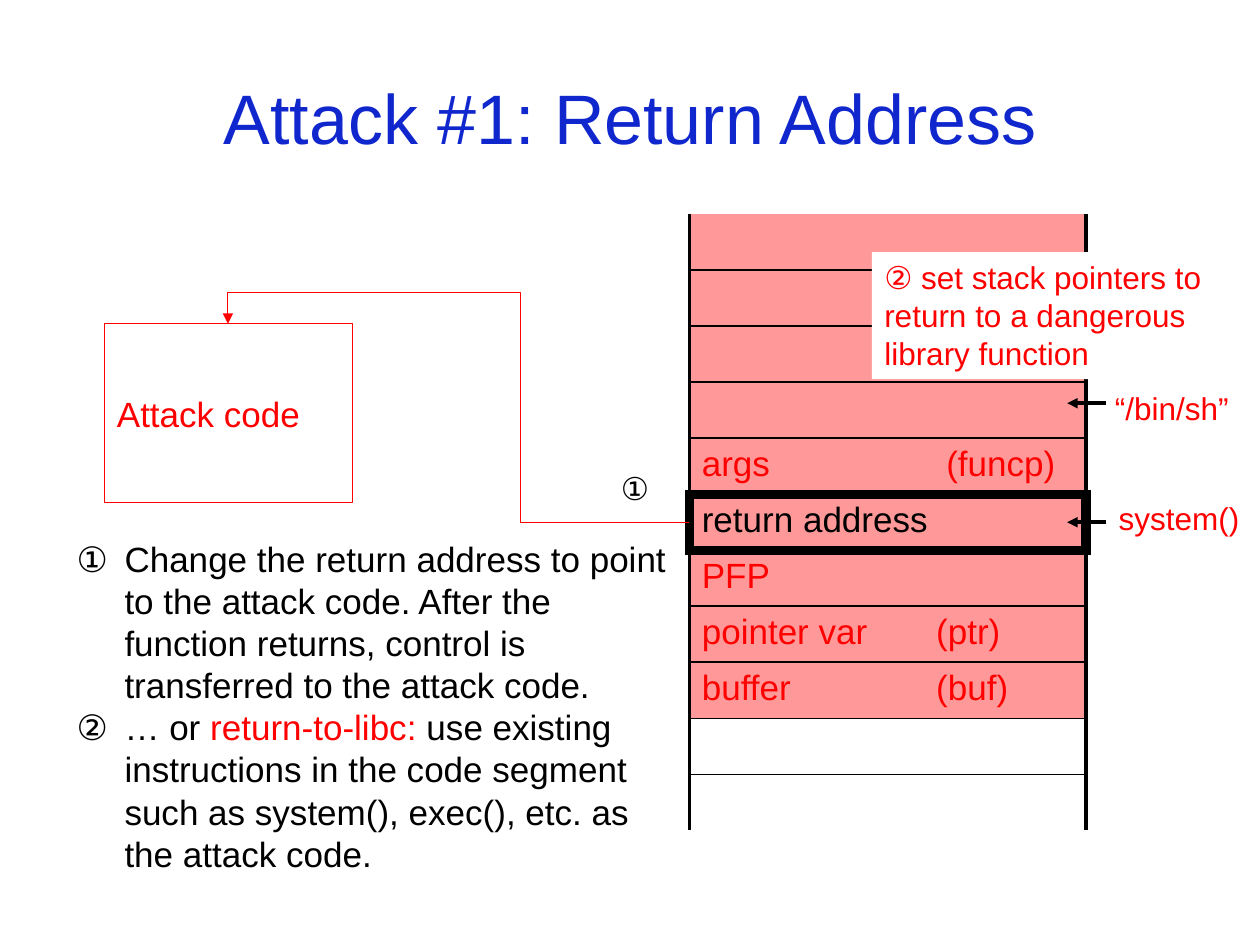
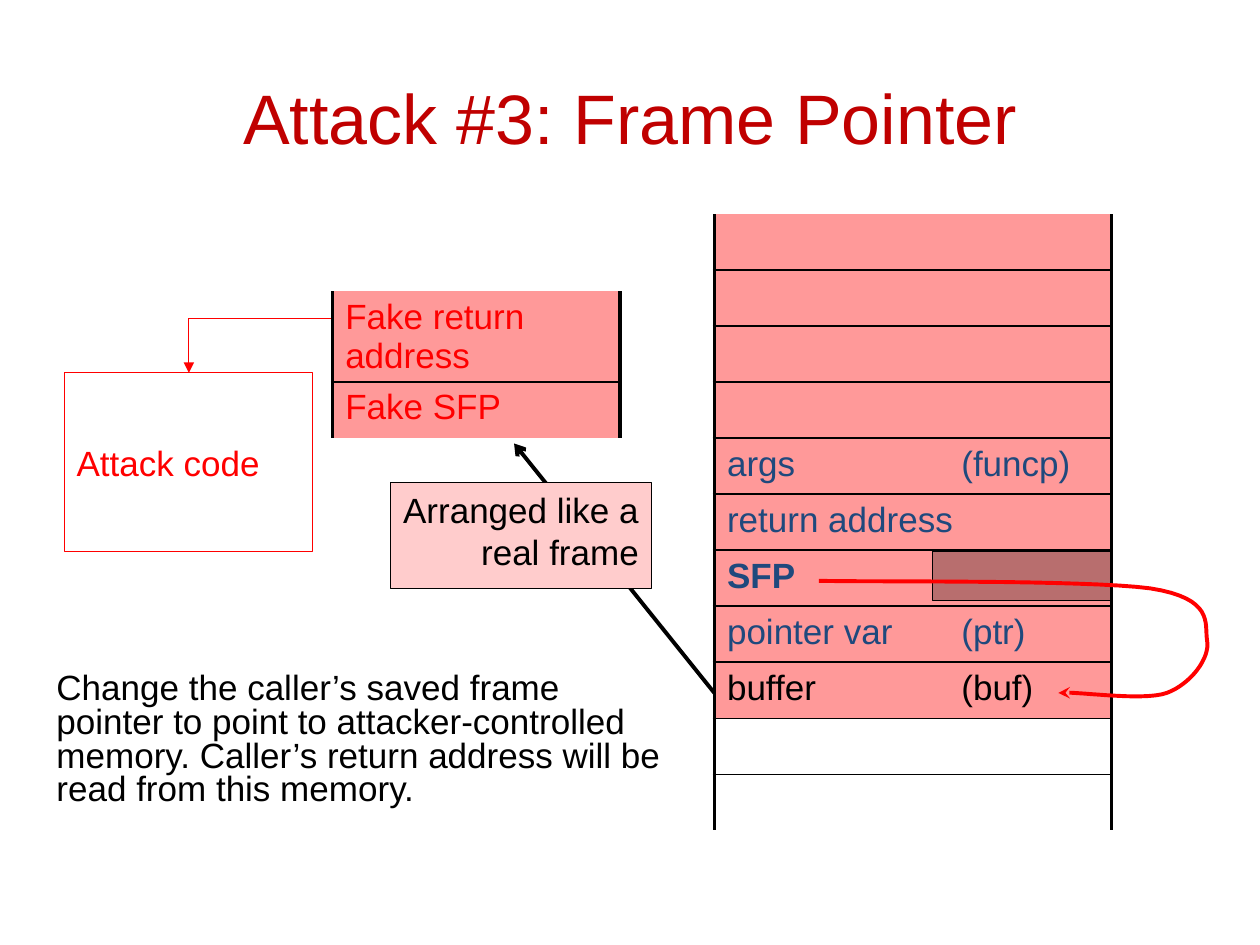
from lxml.etree import SubElement
from pptx import Presentation
from pptx.dml.color import RGBColor
from pptx.enum.shapes import MSO_CONNECTOR, MSO_SHAPE
from pptx.enum.text import MSO_ANCHOR, PP_ALIGN
from pptx.oxml.ns import qn
from pptx.util import Inches, Pt

FONT = "Arial"
BLACK, WHITE, RED = "000000", "FFFFFF", "FF0000"
ROSE, PALE, NAVY = "FF9999", "FFCCCC", "1F497D"
TOP, ROW, WIDE = 1.7, 4.89 / 11, 3.15
THIN, SIDE, THICK = 1, 2.25, 6


def rgb(code):
    return RGBColor.from_string(code)


def grid(*spots):
    """Turn one-inch columns and rows (10 by 7.5 to a slide) into lengths."""
    return [Inches(spot) for spot in spots]


def slot(row):
    """Top of a stack row; a fraction lies further down in that row."""
    return TOP + row * ROW


def style(para, size, color, bold=False):
    font = para.font
    font.name, font.size, font.bold = FONT, Pt(size), bold
    font.color.rgb = rgb(color)


def new_slide(deck, title, color):
    slide = deck.slides.add_slide(deck.slide_layouts[5])
    head = slide.shapes.title
    head.left, head.top, head.width, head.height = grid(0.5, 0.3, 9, 1.25)
    frame = head.text_frame
    frame.text = title
    frame.vertical_anchor = MSO_ANCHOR.MIDDLE
    para = frame.paragraphs[0]
    para.alignment = PP_ALIGN.CENTER
    style(para, 40, color)
    return slide


def write(frame, paras, size, color, align=PP_ALIGN.LEFT, space=None, count=False):
    """Fill a frame; each paragraph is a list of (text, colour or None) runs."""
    frame.word_wrap = True
    for num, runs in enumerate(paras):
        para = frame.add_paragraph() if num else frame.paragraphs[0]
        para.alignment, para.line_spacing = align, space
        if count:
            props = para._p.get_or_add_pPr()
            props.set("marL", str(Inches(0.38)))
            props.set("indent", str(-Inches(0.38)))
            SubElement(props, qn("a:buAutoNum"), type="circleNumDbPlain")
        style(para, size, color)
        for text, tint in runs:
            run = para.add_run()
            run.text = text
            if tint:
                run.font.color.rgb = rgb(tint)


def plain(*lines):
    return [[(line, None)] for line in lines]


def label(slide, area, paras, size=18, color=RED, **look):
    box = slide.shapes.add_textbox(*grid(*area))
    write(box.text_frame, paras, size, color, **look)


def panel(slide, area, fill, edge=None, alpha=None):
    box = slide.shapes.add_shape(MSO_SHAPE.RECTANGLE, *grid(*area))
    box.shadow.inherit = False
    box.fill.solid()
    box.fill.fore_color.rgb = rgb(fill)
    if alpha:
        tint = box._element.spPr.find(qn("a:solidFill"))[0]
        SubElement(tint, qn("a:alpha"), val=str(alpha * 1000))
    if edge:
        box.line.color.rgb = rgb(edge)
        box.line.width = Pt(0.5)
    else:
        box.line.fill.background()
    box.text_frame.vertical_anchor = MSO_ANCHOR.TOP
    return box


def attack(slide, left, top):
    frame = panel(slide, (left, top, 1.97, 1.42), WHITE, RED).text_frame
    frame.vertical_anchor = MSO_ANCHOR.MIDDLE
    write(frame, plain("Attack code"), 20, RED)


def ink(line, color, width, tip):
    line.line.color.rgb = rgb(color)
    line.line.width = Pt(width)
    SubElement(line.line._get_or_add_ln(), qn("a:tailEnd"), type=tip)


def arrow(slide, start, end, color=BLACK, width=2, tip="triangle", bend=None, adjust=()):
    kind = MSO_CONNECTOR.ELBOW if bend else MSO_CONNECTOR.STRAIGHT
    line = slide.shapes.add_connector(kind, *grid(*start, *end))
    ink(line, color, width, tip)
    props = line._element.spPr
    SubElement(props, qn("a:effectLst"))
    if bend:
        geom = props.find(qn("a:prstGeom"))
        geom.set("prst", bend)
        guides = geom.find(qn("a:avLst"))
        if guides is None:
            guides = SubElement(geom, qn("a:avLst"))
        for num, share in enumerate(adjust, 1):
            SubElement(guides, qn("a:gd"), name=f"adj{num}",
                       fmla=f"val {round(share * 100000)}")


def curve(slide, start, bends, steps=16):
    """Draw joined cubic curves; a bend is two handles and an end."""
    dots, here = [], start
    for one, two, end in bends:
        for step in range(1, steps + 1):
            t = step / steps
            u = 1 - t
            dots.append(tuple(
                Inches(u**3 * a + 3 * u * u * t * b + 3 * u * t * t * c + t**3 * d)
                for a, b, c, d in zip(here, one, two, end)))
        here = end
    path = slide.shapes.build_freeform(*grid(*start))
    path.add_line_segments(dots, close=False)
    shape = path.convert_to_shape()
    shape.shadow.inherit = False
    shape.fill.background()
    ink(shape, RED, 2.25, "stealth")


def border(cell, widths):
    """Set the left, right, top and bottom lines; a width of 0 hides one."""
    props = cell._tc.get_or_add_tcPr()
    for num, (side, width) in enumerate(zip("LRTB", widths)):
        line = SubElement(props, qn(f"a:ln{side}"), w=str(Pt(width)))
        props.insert(num, line)
        if width:
            SubElement(SubElement(line, qn("a:solidFill")), qn("a:srgbClr"), val=BLACK)
        else:
            SubElement(line, qn("a:noFill"))


def stack(slide, left, top, width, rows, heights, color, tints={}, white=0,
          bold=None, frame=None, tabs={}):
    """Add a one-column table; white counts the unfilled rows at its foot."""
    last = len(rows) - 1
    table = slide.shapes.add_table(
        len(rows), 1, *grid(left, top, width, sum(heights))).table
    table.first_row = table.horz_banding = False
    edges = [0] + [THIN] * last + [0]
    if frame is not None:
        edges[frame] = edges[frame + 1] = THICK
    for num, (text, high) in enumerate(zip(rows, heights)):
        table.rows[num].height = Inches(high)
        cell = table.cell(num, 0)
        cell.fill.solid()
        cell.fill.fore_color.rgb = rgb(WHITE if num > last - white else ROSE)
        side = THICK if num == frame else SIDE
        border(cell, (side, side, edges[num], edges[num + 1]))
        para = cell.text_frame.paragraphs[0]
        if "\t" in text:
            stops = SubElement(para._p.get_or_add_pPr(), qn("a:tabLst"))
            SubElement(stops, qn("a:tab"), pos=str(Inches(tabs.get(num, 1.86))), algn="l")
        style(para, 20 if text else 18, tints.get(num, color), num == bold)
        if text:
            para.add_run().text = text


def memory(slide, left, saved, color, **look):
    rows = ["", "", "", "", "args\t(funcp)", "return address", saved,
            "pointer var\t(ptr)", "buffer\t(buf)", "", ""]
    stack(slide, left, TOP, WIDE, rows, [ROW] * len(rows), color, white=2, **look)


def return_slide(deck):
    slide = new_slide(deck, "Attack #1: Return Address", "1027CE")
    left, mid = 5.47, slot(5.5)
    memory(slide, left, "PFP", RED, tints={5: BLACK}, frame=5, tabs={4: 1.94})
    attack(slide, 0.83, 2.57)
    arrow(slide, (left, mid), (1.81, 2.57), RED, 0.5,
          bend="bentConnector4", adjust=(0.366, 1.159))
    label(slide, (0.51, 4.22, 4.88, 2.86), [
        [("Change the return address to point to the attack code. After the "
          "function returns, control is transferred to the attack code.", None)],
        [("… or ", None), ("return-to-libc:", RED),
         (" use existing instructions in the code segment such as system(), "
          "exec(), etc. as the attack code.", None)],
    ], 20, BLACK, count=True)
    label(slide, (4.83, 3.67, 0.39, 0.51), plain("①"), color=BLACK)
    note = panel(slide, (6.92, 2, 2.93, 1.01), WHITE)
    write(note.text_frame, plain(
        "② set stack pointers to return to a dangerous library function"), 18, RED)
    label(slide, (8.75, 3.04, 1.22, 0.4), plain("“/bin/sh”"))
    label(slide, (8.78, 3.91, 1.22, 0.4), plain("system()"))
    for high in (3.2, mid):
        arrow(slide, (8.78, high), (8.47, high))


def frame_slide(deck):
    slide = new_slide(deck, "Attack #3: Frame Pointer", "C00000")
    left, fake = 5.67, 2.64
    memory(slide, left, "SFP", NAVY, tints={8: BLACK}, bold=6)
    attack(slide, 0.51, 2.96)
    arrow(slide, (fake, 2.53), (1.5, 2.96), RED, 0.5, bend="bentConnector2")
    panel(slide, (7.4, slot(6) + 0.01, 1.42, 0.39), BLACK, BLACK, alpha=28)
    stack(slide, fake, 2.31, 2.28, ["Fake return address", "Fake SFP"],
          [0.72, ROW], RED)
    label(slide, (0.35, 5.3, 5.04, 1.38), plain(
        "Change the caller’s saved frame",
        "pointer to point to attacker-controlled",
        "memory. Caller’s return address will be",
        "read from this memory."), 20, BLACK, space=0.8)
    arrow(slide, (left, 5.5), (4.08, 3.52), width=2.25, tip="arrow")
    note = panel(slide, (3.1, 3.83, 2.07, 0.84), PALE, BLACK)
    write(note.text_frame, plain("Arranged like a", "real frame"), 20, BLACK,
          align=PP_ALIGN.RIGHT)
    curve(slide, (6.5, 4.61), [
        ((6.87, 4.62), (8.61, 4.6), (9.13, 4.67)),
        ((9.64, 4.75), (9.56, 4.95), (9.58, 5.08)),
        ((9.61, 5.22), (9.45, 5.43), (9.26, 5.5)),
        ((9.06, 5.57), (8.51, 5.48), (8.4, 5.5)),
    ])


def main():
    deck = Presentation()
    deck.slide_width, deck.slide_height = grid(10, 7.5)
    return_slide(deck)
    frame_slide(deck)
    deck.save("out.pptx")


if __name__ == "__main__":
    main()
